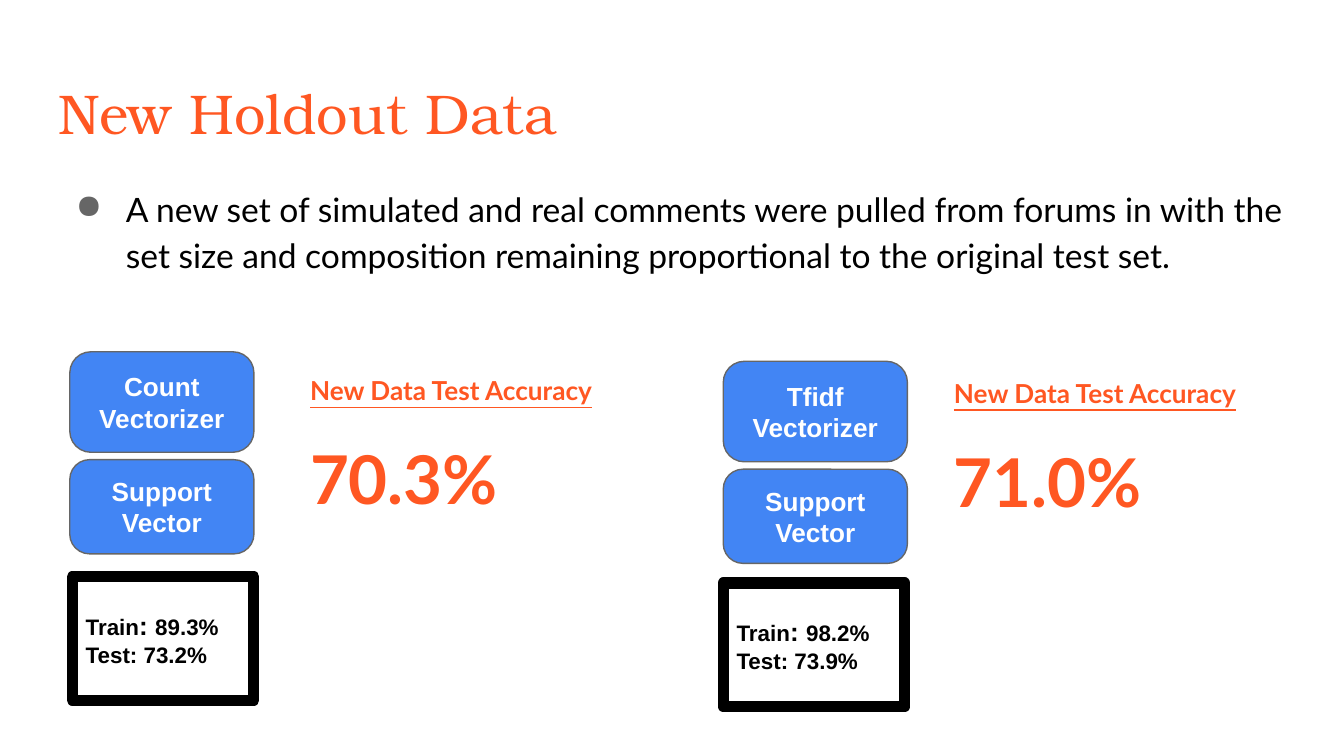
from typing import NamedTuple

from lxml.etree import SubElement
from pptx import Presentation
from pptx.dml.color import RGBColor
from pptx.enum.shapes import MSO_SHAPE
from pptx.enum.text import MSO_ANCHOR, PP_ALIGN
from pptx.oxml.ns import qn
from pptx.util import Cm, Pt

COLORS = {
    "accent": "FF5722",
    "blue": "4285F4",
    "gray": "666666",
    "black": "000000",
    "white": "FFFFFF",
}


class Place(NamedTuple):
    """Left, top, width and height in centimetres."""
    left: float
    top: float
    width: float
    height: float


class Model(NamedTuple):
    vectorizer: str
    train: str
    test: str
    accuracy: str
    steps_left: float
    steps_top: float
    score: Place
    result: Place


MODELS = [
    Model("Count", "89.3%", "73.2%", "70.3%", 1.32, 6.65,
          Place(1.37, 10.9, 3.43, 2.34), Place(5.61, 6.83, 6.07, 1.88)),
    Model("Tfidf", "98.2%", "73.9%", "71.0%", 13.67, 6.83,
          Place(13.67, 11.02, 3.43, 2.34), Place(17.78, 6.88, 6.07, 1.88)),
]


def rgb(name: str) -> RGBColor:
    return RGBColor.from_string(COLORS[name])


def set_frame(shape, anchor=MSO_ANCHOR.TOP):
    frame = shape.text_frame
    frame.word_wrap = True
    frame.vertical_anchor = anchor
    frame.margin_left = frame.margin_right = Cm(0.25)
    frame.margin_top = frame.margin_bottom = Cm(0.25)
    return frame


def add_text(page, place: Place):
    return set_frame(page.shapes.add_textbox(*map(Cm, place)))


def add_box(page, kind, place: Place, line_color: str, line_width: float):
    box = page.shapes.add_shape(kind, *map(Cm, place))
    box.shadow.inherit = False
    box.line.color.rgb = rgb(line_color)
    box.line.width = Pt(line_width)
    return box


def style(paragraph, font: str, size: float, color: str, bold: bool = False,
          align=PP_ALIGN.LEFT) -> None:
    paragraph.alignment = align
    paragraph.font.name = font
    paragraph.font.size = Pt(size)
    paragraph.font.color.rgb = rgb(color)
    paragraph.font.bold = bold


def add_bullet(paragraph, color: str) -> None:
    properties = paragraph._p.get_or_add_pPr()
    properties.set("marL", str(Cm(1.27)))
    properties.set("indent", str(-Cm(0.95)))
    bullet_color = SubElement(properties, qn("a:buClr"))
    SubElement(bullet_color, qn("a:srgbClr"), val=COLORS[color])
    SubElement(properties, qn("a:buChar"), char="●")


def add_step(page, place: Place, lines: list[str]) -> None:
    box = add_box(page, MSO_SHAPE.ROUNDED_RECTANGLE, place, "gray", 0.75)
    box.adjustments[0] = 0.21
    box.fill.solid()
    box.fill.fore_color.rgb = rgb("blue")
    frame = set_frame(box, MSO_ANCHOR.MIDDLE)
    frame.text = "\n".join(lines)
    for paragraph in frame.paragraphs:
        style(paragraph, "Arial", 14, "white", True, PP_ALIGN.CENTER)


def add_score(page, model: Model) -> None:
    box = add_box(page, MSO_SHAPE.RECTANGLE, model.score, "black", 6)
    box.fill.background()
    SubElement(box.line._get_or_add_ln(), qn("a:round"))
    frame = set_frame(box, MSO_ANCHOR.MIDDLE)
    train, test = frame.paragraphs[0], frame.add_paragraph()
    for text in ("Train", ": ", model.train):
        span = train.add_run()
        span.text = text
        span.font.size = Pt(14 if text == ": " else 12)
    test.text = f"Test: {model.test}"
    for paragraph in (train, test):
        style(paragraph, "Arial", 12, "black", True)


def add_result(page, model: Model) -> None:
    frame = add_text(page, model.result)
    label, value = frame.paragraphs[0], frame.add_paragraph()
    label.text = "New Data Test Accuracy"
    style(label, "Lato", 14, "accent", True)
    label.font.underline = True
    value.text = model.accuracy
    style(value, "Lato", 36, "accent", True)
    value.space_before = Pt(16.8)


def add_model(page, model: Model) -> None:
    left, top = model.steps_left, model.steps_top
    add_step(page, Place(left, top, 3.48, 1.9), [model.vectorizer, "Vectorizer"])
    add_step(page, Place(left, top + 2.04, 3.48, 1.78), ["Support", "Vector"])
    add_score(page, model)
    add_result(page, model)


def main() -> None:
    deck = Presentation()
    deck.slide_width, deck.slide_height = Cm(25.4), Cm(14.29)
    page = deck.slides.add_slide(deck.slide_layouts[6])

    # Title
    title = add_text(page, Place(0.86, 1.24, 23.67, 1.6)).paragraphs[0]
    title.text = "New Holdout Data"
    style(title, "TeX Gyre Bonum", 30, "accent")

    # Description of the data
    body = add_text(page, Place(0.86, 3.2, 23.67, 2.31)).paragraphs[0]
    body.text = (
        "A new set of simulated and real comments were pulled from forums in "
        "with the set size and composition remaining proportional to the "
        "original test set."
    )
    style(body, "Lato", 18, "black")
    body.line_spacing = 1.15
    add_bullet(body, "gray")

    # Model pipelines with their scores
    for model in MODELS:
        add_model(page, model)

    deck.save("out.pptx")


if __name__ == "__main__":
    main()
